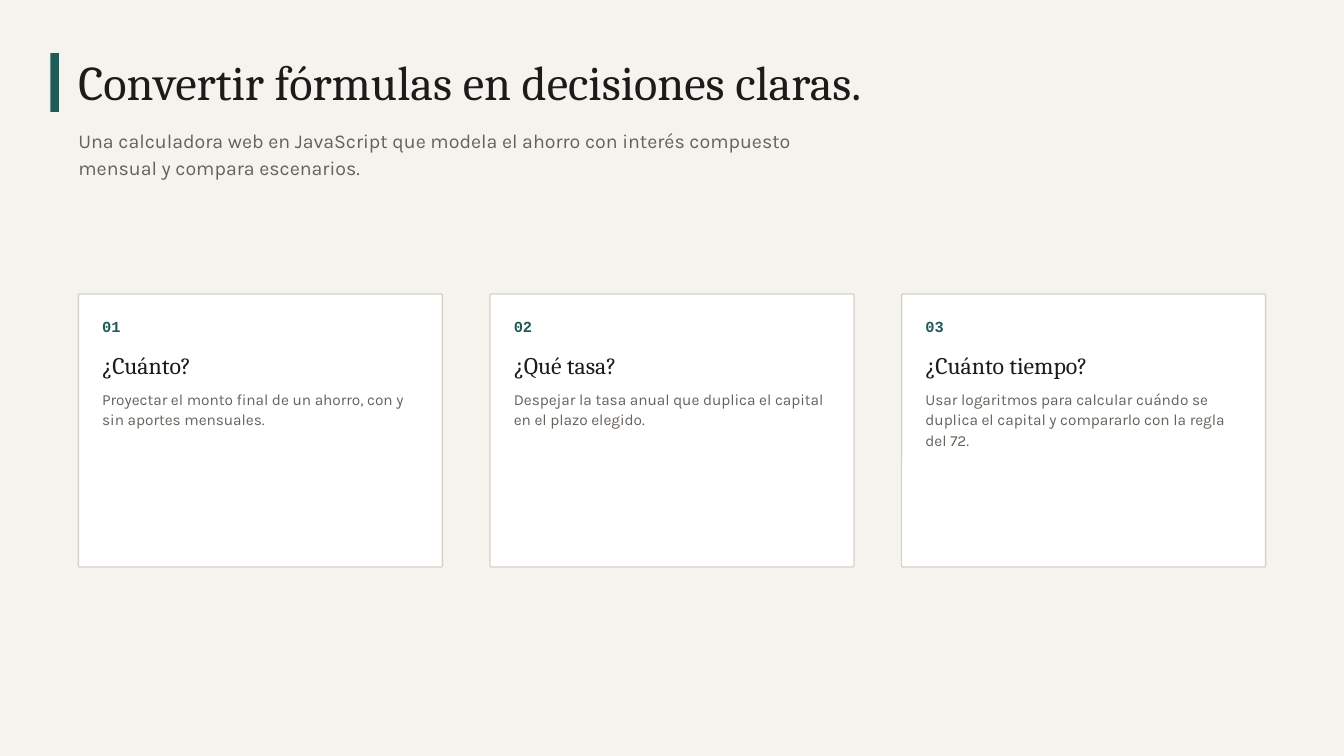
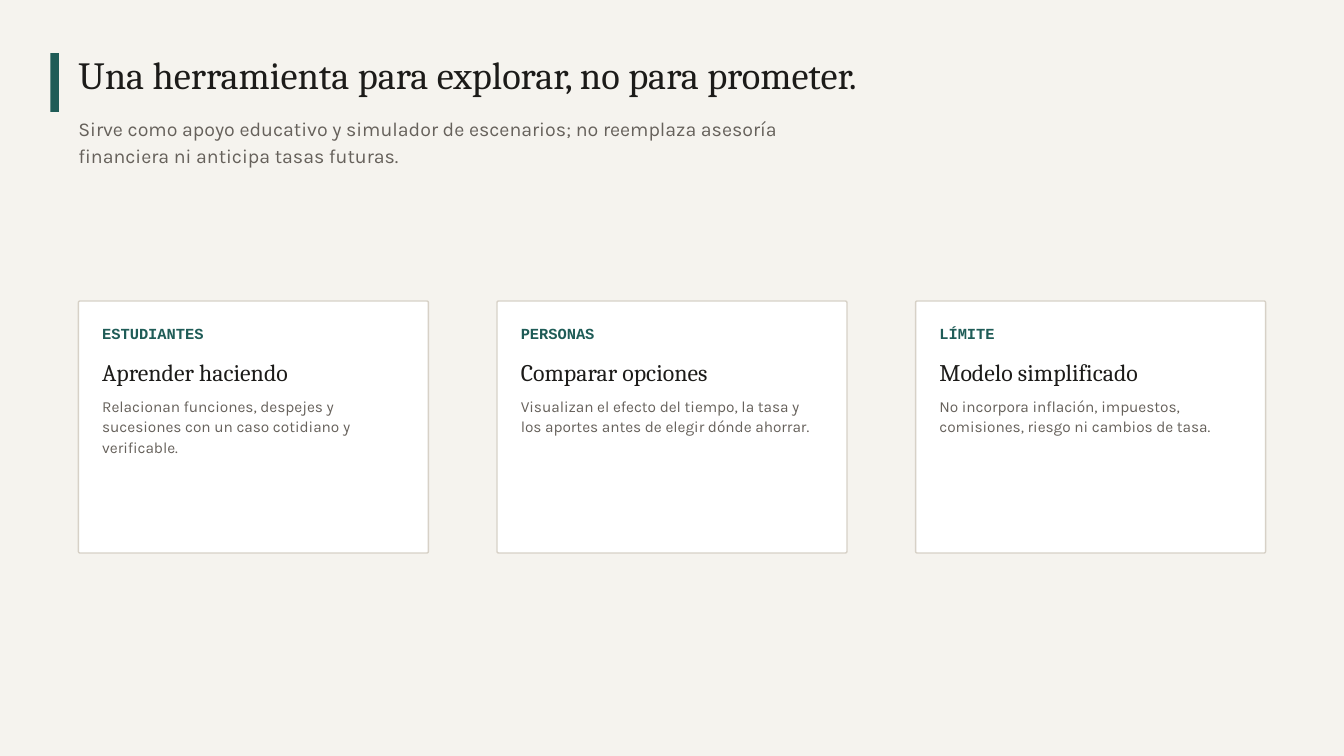
from pptx import Presentation
from pptx.dml.color import RGBColor
from pptx.enum.shapes import MSO_SHAPE
from pptx.enum.text import MSO_ANCHOR, MSO_AUTO_SIZE, PP_ALIGN
from pptx.util import Pt

RECTANGLE = MSO_SHAPE.RECTANGLE
ROUNDED = MSO_SHAPE.ROUNDED_RECTANGLE
TOP = MSO_ANCHOR.TOP
LEFT = PP_ALIGN.LEFT
GROW = MSO_AUTO_SIZE.SHAPE_TO_FIT_TEXT

COLORS = {
    "background": "F5F3EE",
    "accent": "1F5C57",
    "ink": "1C1B19",
    "muted": "66615B",
    "card": "FFFFFF",
    "border": "D7D1C7",
}
SERIF, SANS, MONO = "Cambria", "Karla", "Courier New"

# All lengths are in points
SLIDE_WIDTH, SLIDE_HEIGHT = 1440, 810
MARGIN = 84
CONTENT_WIDTH = SLIDE_WIDTH - 2 * MARGIN
TITLE_WIDTH, SUBTITLE_WIDTH = 937.5, 840
SUBTITLE_GAP = 16
CARD_PADDING = 25.5
CORNER_RADIUS = 1.75

# Card text: offset from card top, height, format
CARD_LINES = [
    (21.75, 21.75, dict(font=MONO, size=16.5, color="accent", spacing=23.1, bold=True)),
    (55.5, 33, dict(font=SERIF, size=25.5, color="ink", spacing=35.7)),
    (100, 42.5, dict(font=SANS, size=16.5, color="muted", spacing=22.3)),
]

SLIDES = [
    dict(
        title="Convertir fórmulas en decisiones claras.",
        subtitle="Una calculadora web en JavaScript que modela el ahorro con "
                 "interés compuesto mensual y compara escenarios.",
        title_top=63.25, title_height=55.5, title_size=51.8, title_spacing=54.3,
        cards_top=315, card_width=390, card_height=292.5,
        cards=[
            ("01", "¿Cuánto?",
             "Proyectar el monto final de un ahorro, con y sin aportes mensuales."),
            ("02", "¿Qué tasa?",
             "Despejar la tasa anual que duplica el capital en el plazo elegido."),
            ("03", "¿Cuánto tiempo?",
             "Usar logaritmos para calcular cuándo se duplica el capital y "
             "compararlo con la regla del 72."),
        ],
    ),
    dict(
        title="Una herramienta para explorar, no para prometer.",
        subtitle="Sirve como apoyo educativo y simulador de escenarios; no reemplaza "
                 "asesoría financiera ni anticipa tasas futuras.",
        title_top=60.5, title_height=45.25, title_size=41.2, title_spacing=43.3,
        cards_top=322.5, card_width=375, card_height=270,
        cards=[
            ("ESTUDIANTES", "Aprender haciendo",
             "Relacionan funciones, despejes y sucesiones con un caso cotidiano "
             "y verificable."),
            ("PERSONAS", "Comparar opciones",
             "Visualizan el efecto del tiempo, la tasa y los aportes antes de "
             "elegir dónde ahorrar."),
            ("LÍMITE", "Modelo simplificado",
             "No incorpora inflación, impuestos, comisiones, riesgo ni cambios "
             "de tasa."),
        ],
    ),
]


def rgb(name):
    return RGBColor.from_string(COLORS[name])


def place(shape, left, top, width, height):
    shape.left, shape.top = Pt(left), Pt(top)
    shape.width, shape.height = Pt(width), Pt(height)


def write_text(shape, text, *, font, size, color, spacing, bold=False):
    """Fill a text box or placeholder with one formatted paragraph."""
    frame = shape.text_frame
    frame.margin_left = frame.margin_top = frame.margin_right = frame.margin_bottom = 0
    frame.word_wrap = True
    frame.auto_size = GROW
    frame.vertical_anchor = TOP
    paragraph = frame.paragraphs[0]
    paragraph.alignment = LEFT
    paragraph.space_before = Pt(0)
    paragraph.line_spacing = Pt(spacing)
    run = paragraph.add_run()
    run.text = text
    run.font.name = font
    run.font.size = Pt(size)
    run.font.bold = bold
    run.font.color.rgb = rgb(color)


def add_box(shapes, kind, left, top, width, height, fill, border=None):
    shape = shapes.add_shape(kind, Pt(left), Pt(top), Pt(width), Pt(height))
    shape.shadow.inherit = False
    shape.fill.solid()
    shape.fill.fore_color.rgb = rgb(fill)
    if border:
        shape.line.color.rgb = rgb(border)
        shape.line.width = Pt(1.5)
    else:
        shape.line.fill.background()
    return shape


def add_header(slide, content):
    """Title, subtitle and accent bar."""
    title, subtitle = slide.placeholders
    top, height = content["title_top"], content["title_height"]
    place(title, MARGIN, top, TITLE_WIDTH, height)
    write_text(title, content["title"], font=SERIF, size=content["title_size"],
               color="ink", spacing=content["title_spacing"])
    place(subtitle, MARGIN, top + height + SUBTITLE_GAP, SUBTITLE_WIDTH, 56.25)
    write_text(subtitle, content["subtitle"], font=SANS, size=21,
               color="muted", spacing=29)
    add_box(slide.shapes, RECTANGLE, 54, 57, 9, 63, "accent")


def add_card(slide, left, top, width, height, texts):
    """Bordered card with label, heading and description."""
    shapes = slide.shapes.add_group_shape().shapes
    card = add_box(shapes, ROUNDED, left, top, width, height, "card", "border")
    card.adjustments[0] = CORNER_RADIUS / min(width, height)
    for text, (offset, line_height, text_format) in zip(texts, CARD_LINES):
        box = shapes.add_textbox(Pt(left + CARD_PADDING), Pt(top + offset),
                                 Pt(width - 2 * CARD_PADDING), Pt(line_height))
        write_text(box, text, **text_format)


def add_cards(slide, content):
    """Row of cards spread evenly between the margins."""
    cards, width = content["cards"], content["card_width"]
    step = (CONTENT_WIDTH - width) / (len(cards) - 1)
    for index, texts in enumerate(cards):
        add_card(slide, MARGIN + index * step, content["cards_top"],
                 width, content["card_height"], texts)


def main():
    presentation = Presentation()
    presentation.slide_width = Pt(SLIDE_WIDTH)
    presentation.slide_height = Pt(SLIDE_HEIGHT)
    background = presentation.slide_master.background.fill
    background.solid()
    background.fore_color.rgb = rgb("background")
    for content in SLIDES:
        slide = presentation.slides.add_slide(presentation.slide_layouts[0])
        add_header(slide, content)
        add_cards(slide, content)
    presentation.save("out.pptx")


if __name__ == "__main__":
    main()
